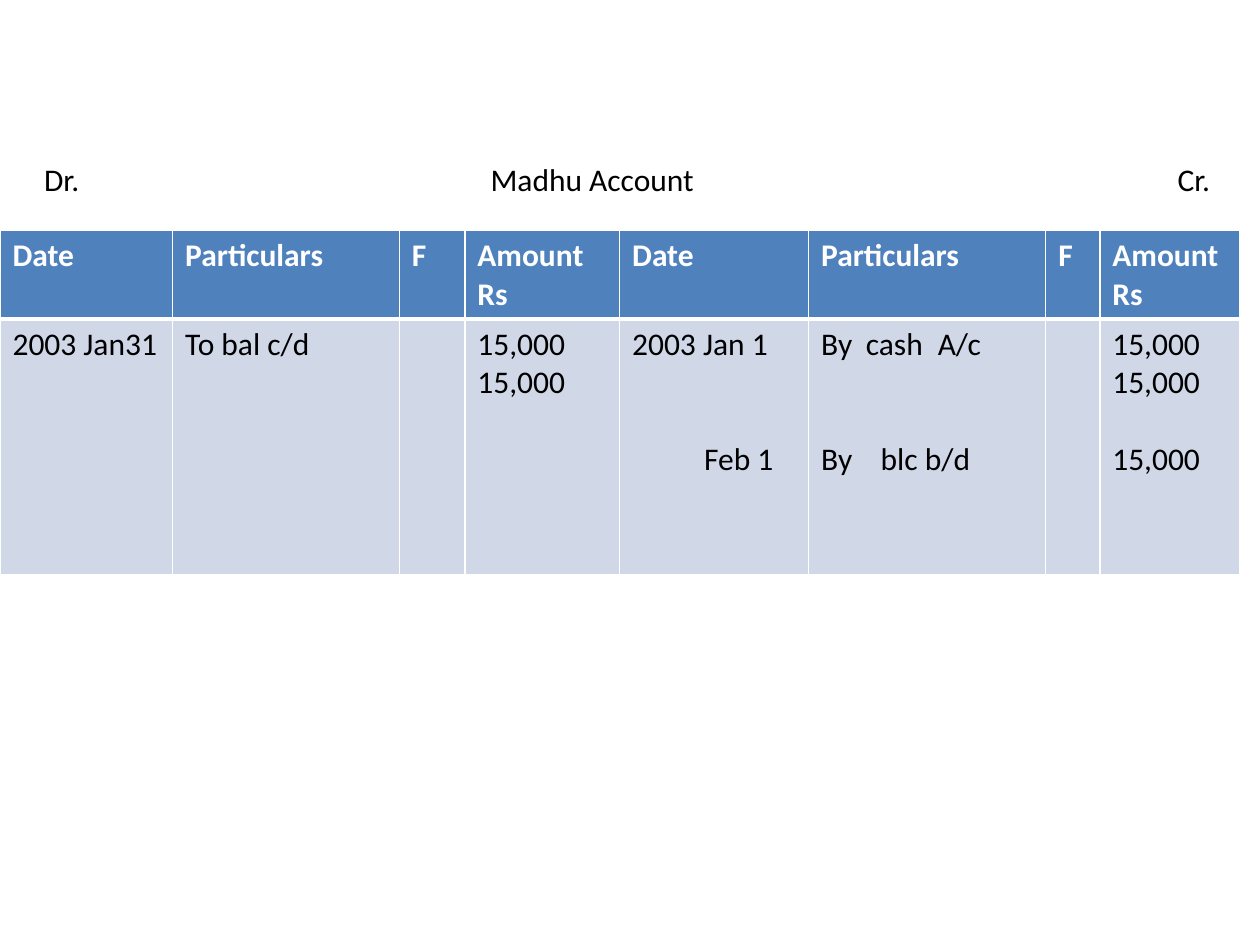
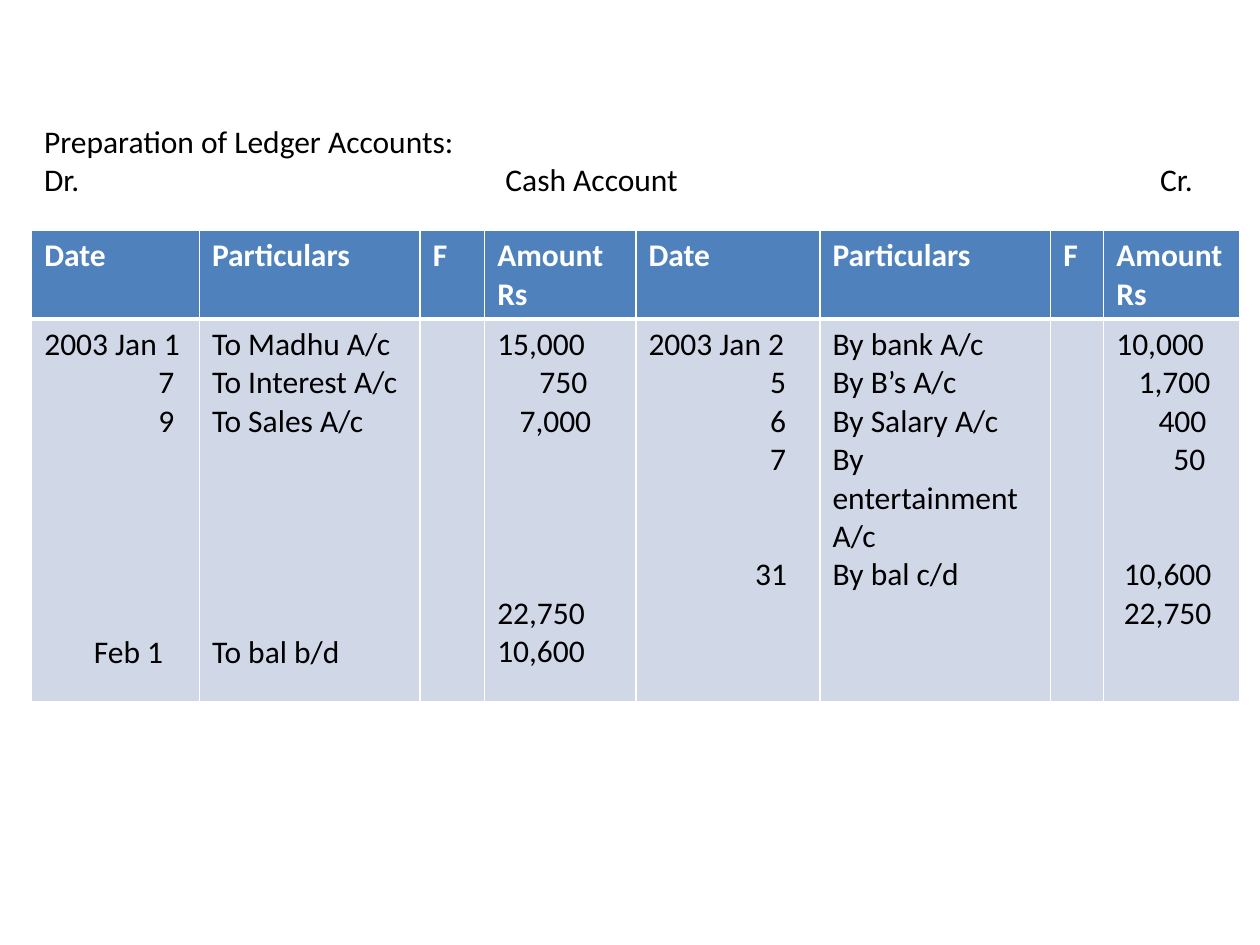
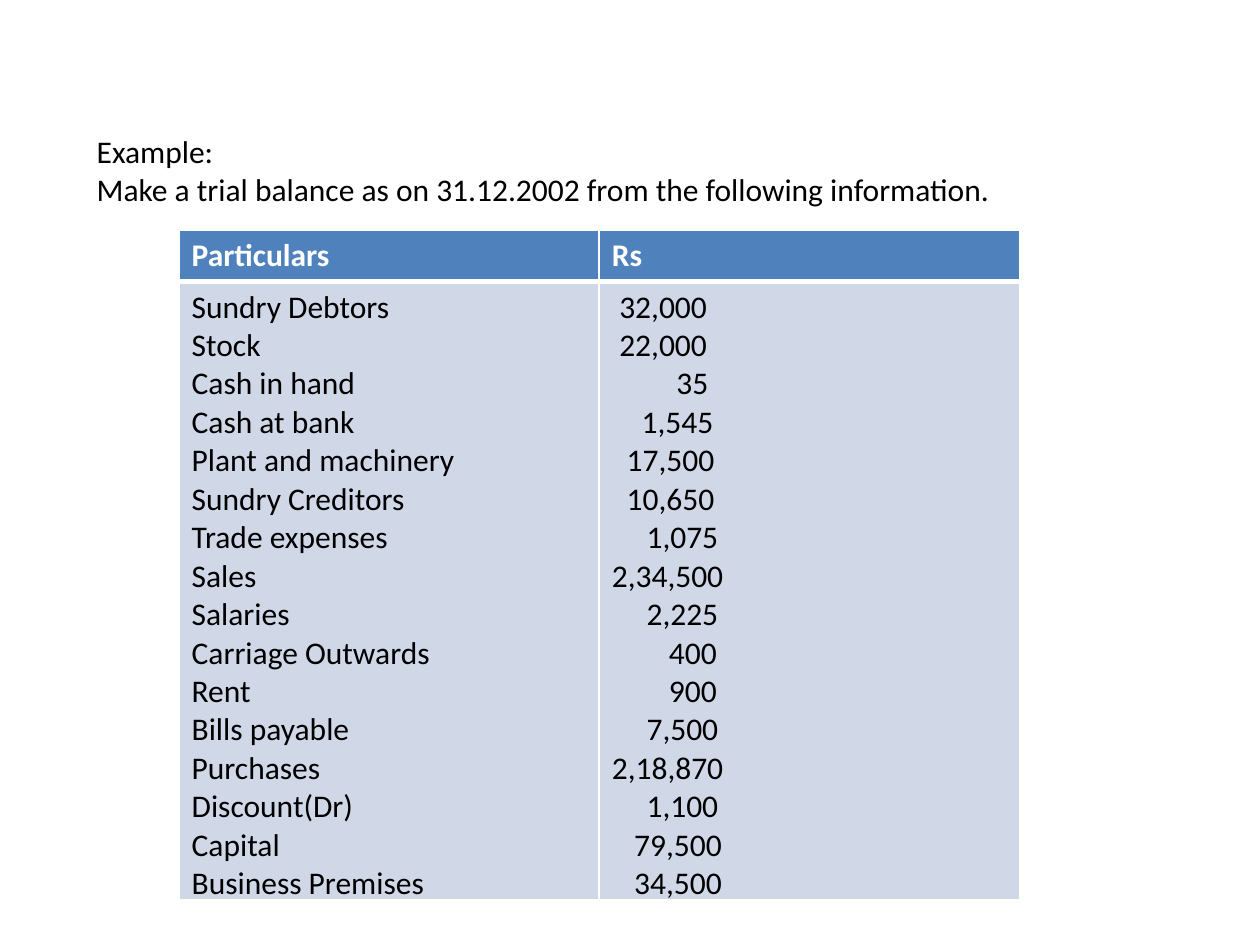
from lxml import etree
from pptx import Presentation
from pptx.dml.color import RGBColor
from pptx.oxml.ns import qn
from pptx.util import Cm, Pt

WHITE = RGBColor(0xFF, 0xFF, 0xFF)
BLACK = RGBColor(0x00, 0x00, 0x00)
HEADER_BLUE = RGBColor(0x4F, 0x81, 0xBD)
BODY_BLUE = RGBColor(0xD0, 0xD8, 0xE8)
FONT = "Calibri"
LINE_HEIGHT = 22  # points taken by one line of 18 pt text
TABLE_TOP = 4.65
LEDGER_HEADER = ["Date", "Particulars", "F", "Amount Rs"] * 2


def write_lines(frame, lines, color=BLACK, bold=False):
    """A line is a text, or (text, indent in cm, lines skipped before, tab stops in cm)."""
    for number, line in enumerate(lines):
        text, indent, skipped, *stops = (line, 0, 0) if isinstance(line, str) else line
        para = frame.paragraphs[0] if number == 0 else frame.add_paragraph()
        para.text = text
        properties = para._p.get_or_add_pPr()
        if indent:
            properties.set("marL", str(Cm(indent)))
            properties.set("indent", "0")
        if stops:
            tab_list = etree.SubElement(properties, qn("a:tabLst"))
            for stop in stops:
                etree.SubElement(tab_list, qn("a:tab"), pos=str(Cm(stop)), algn="l")
        if skipped:
            para.space_before = Pt(LINE_HEIGHT * skipped)
        para.font.size = Pt(18)
        for span in para.runs:
            span.font.name = FONT
            span.font.size = Pt(18)
            span.font.bold = bold
            span.font.color.rgb = color


def style_cell(cell, fill, top, bottom):
    cell.fill.solid()
    cell.fill.fore_color.rgb = fill
    properties = cell._tc.get_or_add_tcPr()
    edges = {"a:lnL": 1, "a:lnR": 1, "a:lnT": top, "a:lnB": bottom}
    for position, (edge, width) in enumerate(edges.items()):
        border = etree.Element(qn(edge), w=str(Pt(width)))
        solid = etree.SubElement(border, qn("a:solidFill"))
        etree.SubElement(solid, qn("a:srgbClr"), val=str(WHITE))
        properties.insert(position, border)


pages = [
    # Madhu account
    {
        "heading": [("Dr.\tMadhu Account\tCr.", 0, 0, 9, 22.85)],
        "heading_at": (0.64, 3.11, 24.33, 1.03),
        "left": 0,
        "columns": [3.48, 4.57, 1.32, 3.12, 3.81, 4.78, 1.09, 2.82],
        "rows": [1.77, 5.16],
        "header": LEDGER_HEADER,
        "body": [
            ["2003 Jan31"],
            ["To bal c/d"],
            [],
            ["15,000", "15,000"],
            ["2003 Jan 1", ("Feb 1", 1.45, 2)],
            [("By\tcash\tA/c", 0, 0, 0.9, 2.35), ("By\tblc b/d", 0, 2, 1.2)],
            [],
            ["15,000", "15,000", ("15,000", 0, 1)],
        ],
    },
    # Cash account
    {
        "heading": [
            "Preparation of Ledger Accounts:",
            ("Dr.\tCash Account\tCr.", 0, 0, 9.3, 22.5),
        ],
        "heading_at": (0.64, 2.34, 24.33, 1.8),
        "left": 0.64,
        "columns": [3.38, 4.45, 1.3, 3.05, 3.71, 4.65, 1.07, 2.74],
        "rows": [1.77, 7.72],
        "header": LEDGER_HEADER,
        "body": [
            ["2003 Jan 1", ("7", 2.3, 0), ("9", 2.3, 0), ("Feb 1", 1, 5)],
            ["To Madhu A/c", "To Interest A/c", "To Sales A/c", ("To bal b/d", 0, 5)],
            [],
            ["15,000", ("750", 0.85, 0), ("7,000", 0.45, 0), ("22,750", 0, 4), "10,600"],
            ["2003 Jan 2", ("5", 2.45, 0), ("6", 2.45, 0), ("7", 2.45, 0), ("31", 2.15, 2)],
            ["By bank A/c", "By B’s A/c", "By Salary A/c", "By entertainment A/c",
             "By bal c/d"],
            [],
            ["10,000", ("1,700", 0.45, 0), ("400", 0.85, 0), ("50", 1.15, 0),
             ("10,600", 0.15, 2), ("22,750", 0.15, 0)],
        ],
    },
    # Trial balance
    {
        "heading": [
            "Example:",
            "Make a trial balance as on 31.12.2002 from the following information.",
        ],
        "heading_at": (1.7, 2.54, 22.66, 3.33),
        "left": 3.61,
        "columns": [8.47, 8.47],
        "rows": [1.03, 12.45],
        "header": ["Particulars", "Rs"],
        "body": [
            ["Sundry Debtors", "Stock", "Cash in hand", "Cash at bank",
             "Plant and machinery", "Sundry Creditors", "Trade expenses", "Sales",
             "Salaries", "Carriage Outwards", "Rent", "Bills payable", "Purchases",
             "Discount(Dr)", "Capital", "Business Premises"],
            [("32,000", 0.15, 0), ("22,000", 0.15, 0), ("35", 1.3, 0), ("1,545", 0.6, 0),
             ("17,500", 0.3, 0), ("10,650", 0.3, 0), ("1,075", 0.7, 0), "2,34,500",
             ("2,225", 0.7, 0), ("400", 1.15, 0), ("900", 1.15, 0), ("7,500", 0.7, 0),
             "2,18,870", ("1,100", 0.7, 0), ("79,500", 0.45, 0), ("34,500", 0.45, 0)],
        ],
    },
]

deck = Presentation()
deck.slide_width, deck.slide_height = Cm(25.4), Cm(19.05)
blank_layout = deck.slide_layouts[6]

for content in pages:
    page = deck.slides.add_slide(blank_layout)

    # Heading above the table
    box = page.shapes.add_textbox(*[Cm(length) for length in content["heading_at"]])
    box.text_frame.word_wrap = True
    write_lines(box.text_frame, content["heading"])

    # Table with a header row and one tall body row
    columns, rows = content["columns"], content["rows"]
    table = page.shapes.add_table(
        2, len(columns), Cm(content["left"]), Cm(TABLE_TOP), Cm(sum(columns)), Cm(sum(rows))
    ).table
    for row, height in zip(table.rows, rows):
        row.height = Cm(height)
    for index, width in enumerate(columns):
        table.columns[index].width = Cm(width)
        header_cell, body_cell = table.cell(0, index), table.cell(1, index)
        style_cell(header_cell, HEADER_BLUE, top=1, bottom=3)
        style_cell(body_cell, BODY_BLUE, top=3, bottom=1)
        write_lines(header_cell.text_frame, [content["header"][index]], WHITE, bold=True)
        write_lines(body_cell.text_frame, content["body"][index])

deck.save("out.pptx")
